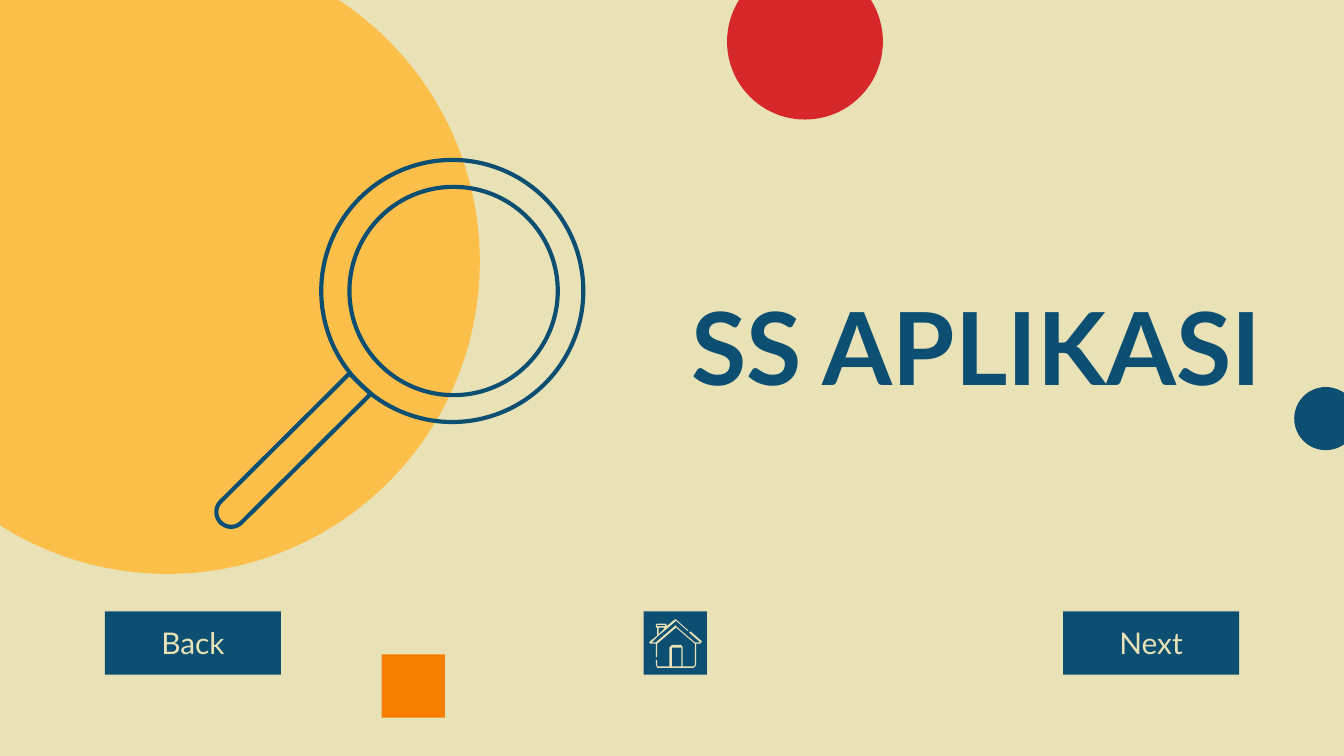
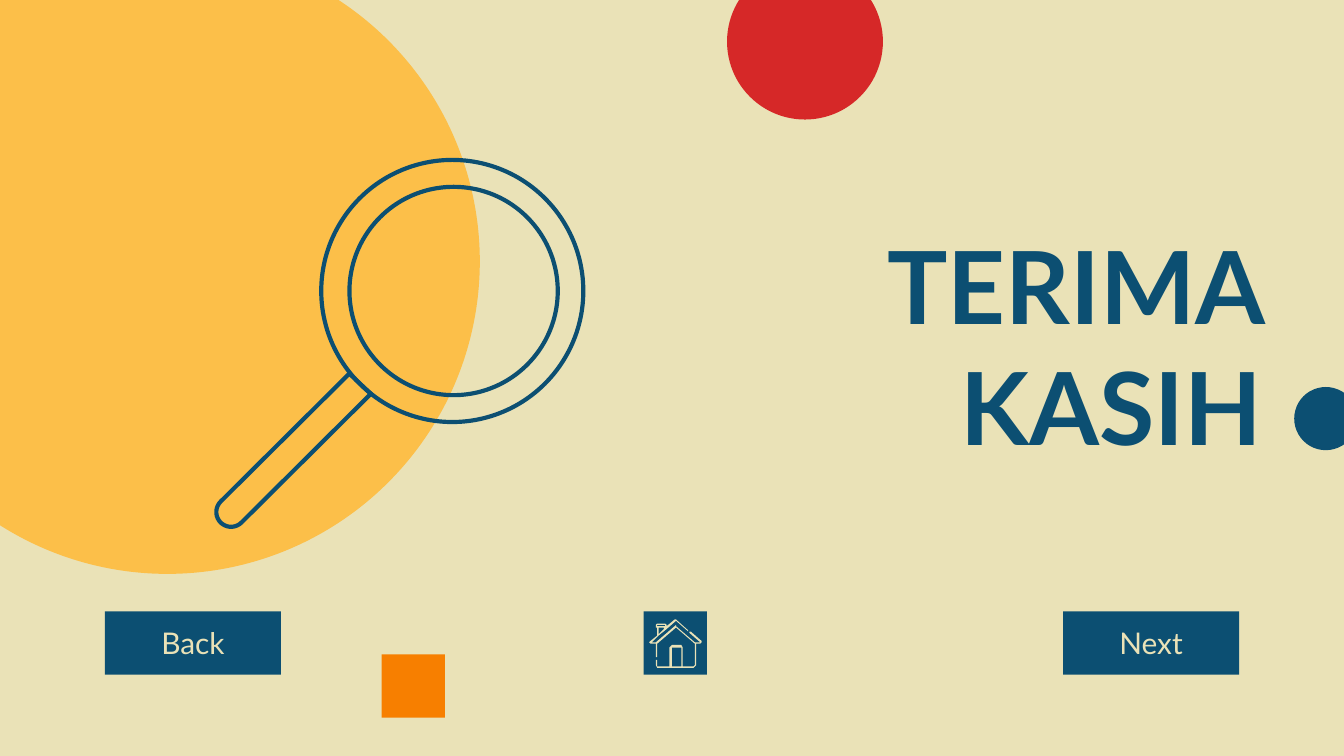
from math import cos, radians, sin

from pptx import Presentation
from pptx.dml.color import RGBColor
from pptx.enum.shapes import MSO_SHAPE
from pptx.enum.text import MSO_ANCHOR, MSO_AUTO_SIZE, PP_ALIGN
from pptx.util import Inches, Pt

OVAL = MSO_SHAPE.OVAL
RECTANGLE = MSO_SHAPE.RECTANGLE
MIDDLE = MSO_ANCHOR.MIDDLE
NO_AUTOFIT = MSO_AUTO_SIZE.NONE
CENTER = PP_ALIGN.CENTER
RIGHT = PP_ALIGN.RIGHT

SAND = RGBColor(0xEA, 0xE2, 0xB7)
YELLOW = RGBColor(0xFC, 0xBF, 0x49)
NAVY = RGBColor(0x0C, 0x4F, 0x72)
ORANGE = RGBColor(0xF7, 0x7F, 0x00)
RED = RGBColor(0xD6, 0x28, 0x28)

FONT = "Lato"
TITLES = ["SS APLIKASI", "TERIMA KASIH"]
TITLE_ONLY = 5
BUTTON_TOP = 4.55
BUTTON_WIDTH = 1.31
SMALL = 0.47

HOUSE_OUTLINE = [
    (5.03, 4.61), (5.02, 4.61), (4.96, 4.66), (4.96, 4.65), (4.95, 4.64),
    (4.89, 4.64), (4.88, 4.65), (4.88, 4.67), (4.89, 4.67), (4.89, 4.73),
    (4.84, 4.77), (4.83, 4.78), (4.84, 4.79), (4.88, 4.79), (4.88, 4.89),
    (4.89, 4.89), (4.89, 4.79), (5.03, 4.67), (5.17, 4.79), (5.17, 4.95),
    (5.16, 4.96), (5.08, 4.96), (5.08, 4.82), (5.07, 4.8), (5, 4.8),
    (4.98, 4.82), (4.98, 4.96), (4.89, 4.96), (4.89, 4.91), (4.88, 4.91),
    (4.88, 4.95), (4.89, 4.97), (5.16, 4.97), (5.18, 4.95), (5.18, 4.79),
    (5.21, 4.79), (5.22, 4.78), (5.22, 4.77), (5.14, 4.7), (5.13, 4.7),
    (5.13, 4.71), (5.21, 4.78), (5.17, 4.78), (5.03, 4.66), (5.03, 4.65),
    (5.02, 4.66), (4.88, 4.78), (4.85, 4.78), (4.9, 4.73), (4.95, 4.69),
    (5.03, 4.62), (5.11, 4.69), (5.12, 4.7), (5.12, 4.69),
]
CHIMNEY_CAP = [(4.95, 4.65), (4.95, 4.66), (4.89, 4.66), (4.89, 4.65)]
CHIMNEY_STACK = [(4.94, 4.67), (4.94, 4.68), (4.9, 4.72), (4.9, 4.67)]
DOOR = [(5.07, 4.82), (5.07, 4.96), (5, 4.96), (5, 4.82)]


def paint(shape, fill=None, line=None):
    shape.shadow.inherit = False
    if fill is None:
        shape.fill.background()
    else:
        shape.fill.solid()
        shape.fill.fore_color.rgb = fill
    if line is None:
        shape.line.fill.background()
    else:
        shape.line.color.rgb = line
        shape.line.width = Pt(2.25)


def add_block(shapes, kind, left, top, width, height, fill=None, line=None):
    block = shapes.add_shape(
        kind, Inches(left), Inches(top), Inches(width), Inches(height))
    paint(block, fill, line)
    return block


def add_outline(shapes, contours, fill=None, line=None):
    contours = [[(Inches(x), Inches(y)) for x, y in contour]
                for contour in contours]
    builder = shapes.build_freeform(*contours[0][0])
    builder.add_line_segments(contours[0][1:], close=True)
    for contour in contours[1:]:
        builder.move_to(*contour[0])
        builder.add_line_segments(contour[1:], close=True)
    paint(builder.convert_to_shape(), fill, line)


def write(shape, text, size, color, alignment, bold=False):
    frame = shape.text_frame
    frame.text = text
    frame.word_wrap = True
    frame.auto_size = NO_AUTOFIT
    frame.vertical_anchor = MIDDLE
    frame.margin_left = frame.margin_right = Inches(0.1)
    frame.margin_top = frame.margin_bottom = Inches(0.1)
    para = frame.paragraphs[0]
    para.alignment = alignment
    para.font.name = FONT
    para.font.size = Pt(size)
    para.font.bold = bold
    para.font.color.rgb = color


def add_title(page, text):
    title = page.shapes.title
    title.left, title.top = Inches(4.35), Inches(2.15)
    title.width, title.height = Inches(5.14), Inches(0.83)
    write(title, text, 54, NAVY, RIGHT, bold=True)


def add_magnifier(page):
    shapes = page.shapes.add_group_shape().shapes
    add_block(shapes, OVAL, 2.39, 1.19, 1.95, 1.95, line=NAVY)
    add_block(shapes, OVAL, 2.6, 1.39, 1.55, 1.55, line=NAVY)
    tip = [(1.72 + 0.11 * cos(radians(angle)),
            3.81 + 0.11 * sin(radians(angle)))
           for angle in range(225, 44, -10)]
    add_outline(shapes, [[(2.76, 2.93), (2.6, 2.78)] + tip], line=NAVY)


def add_button(page, left, label):
    button = add_block(page.shapes, RECTANGLE, left, BUTTON_TOP,
                       BUTTON_WIDTH, SMALL, NAVY)
    write(button, label, 16, SAND, CENTER)


def add_home_button(page):
    add_block(page.shapes, RECTANGLE, 4.79, BUTTON_TOP, SMALL, SMALL, NAVY)
    add_outline(page.shapes,
                [HOUSE_OUTLINE, CHIMNEY_CAP, CHIMNEY_STACK, DOOR], fill=SAND)


def add_page(deck, title):
    page = deck.slides.add_slide(deck.slide_layouts[TITLE_ONLY])
    add_block(page.shapes, OVAL, -1.08, -0.38, 4.65, 4.65, YELLOW)
    add_title(page, title)
    add_magnifier(page)
    add_block(page.shapes, RECTANGLE, 2.84, 4.87, SMALL, SMALL, ORANGE)
    add_block(page.shapes, OVAL, 5.41, -0.27, 1.16, 1.16, RED)
    add_block(page.shapes, OVAL, 9.63, 2.88, SMALL, SMALL, NAVY)
    add_button(page, 0.78, "Back")
    add_home_button(page)
    add_button(page, 7.91, "Next")


def main():
    deck = Presentation()
    deck.slide_width = Inches(10)
    deck.slide_height = deck.slide_width * 9 // 16
    background = deck.slide_master.background.fill
    background.solid()
    background.fore_color.rgb = SAND
    for title in TITLES:
        add_page(deck, title)
    deck.save("out.pptx")


if __name__ == "__main__":
    main()
